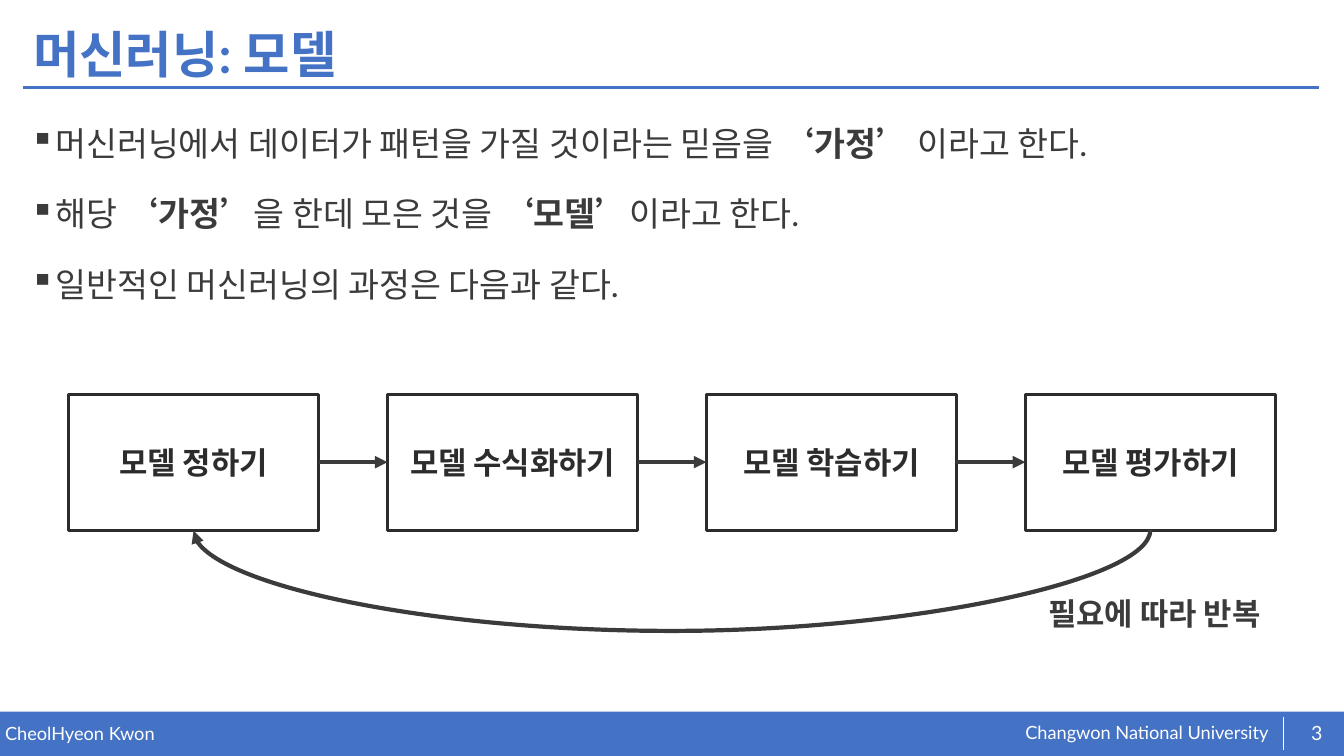
from lxml import etree
from pptx import Presentation
from pptx.dml.color import RGBColor
from pptx.enum.shapes import MSO_CONNECTOR, MSO_SHAPE
from pptx.enum.text import MSO_ANCHOR, PP_ALIGN
from pptx.oxml.ns import qn
from pptx.util import Inches, Pt

STRAIGHT, CURVE = MSO_CONNECTOR.STRAIGHT, MSO_CONNECTOR.CURVE
RECTANGLE = MSO_SHAPE.RECTANGLE
TOP, MIDDLE = MSO_ANCHOR.TOP, MSO_ANCHOR.MIDDLE
LEFT, CENTER = PP_ALIGN.LEFT, PP_ALIGN.CENTER

BLUE = RGBColor(0x44, 0x72, 0xC4)
WHITE = RGBColor(0xFF, 0xFF, 0xFF)
DARK = RGBColor(0x3B, 0x3B, 0x3B)
BLACK = RGBColor(0x2C, 0x2C, 0x2C)
FONT = "Lato"
RIGHT_SIDE, LEFT_SIDE = 3, 1


class SlideBuilder:
    def __init__(self, slide):
        self.slide = slide
        self.shapes = slide.shapes

    def add_run(self, paragraph, text, size, color, bold=False):
        run = paragraph.add_run()
        run.text = text
        run.font.name = FONT
        run.font.size = Pt(size)
        run.font.bold = bold
        run.font.color.rgb = color

    def text(self, box, text, size, color, bold=False, anchor=TOP, align=LEFT,
             inset=True, line_spacing=None):
        shape = self.shapes.add_textbox(*map(Inches, box))
        frame = shape.text_frame
        frame.word_wrap = True
        frame.vertical_anchor = anchor
        if not inset:
            frame.margin_left = frame.margin_right = 0
            frame.margin_top = frame.margin_bottom = 0
        paragraph = frame.paragraphs[0]
        paragraph.alignment = align
        if line_spacing:
            paragraph.line_spacing = line_spacing
        self.add_run(paragraph, text, size, color, bold)

    def bullets(self, box, items, size, color):
        """Each item is a list of (text, bold) runs."""
        frame = self.shapes.add_textbox(*map(Inches, box)).text_frame
        frame.word_wrap = True
        for index, runs in enumerate(items):
            paragraph = frame.add_paragraph() if index else frame.paragraphs[0]
            paragraph.line_spacing = 1.4
            if index:
                paragraph.space_before = Pt(10)
            properties = paragraph._p.get_or_add_pPr()
            properties.set("marL", str(Inches(0.25)))
            properties.set("indent", str(-Inches(0.25)))
            etree.SubElement(properties, qn("a:buChar")).set("char", "▪")
            for text, bold in runs:
                self.add_run(paragraph, text, size, color, bold)

    def rectangle(self, box, fill=None, line=None, text=None):
        shape = self.shapes.add_shape(RECTANGLE, *map(Inches, box))
        shape.shadow.inherit = False
        if fill:
            shape.fill.solid()
            shape.fill.fore_color.rgb = fill
        else:
            shape.fill.background()
        if line:
            shape.line.color.rgb = line
            shape.line.width = Pt(2)
        else:
            shape.line.fill.background()
        if text:
            shape.text_frame.vertical_anchor = MIDDLE
            paragraph = shape.text_frame.paragraphs[0]
            paragraph.alignment = CENTER
            self.add_run(paragraph, text, 22, BLACK, True)
        return shape

    def line(self, points, color, width, kind=STRAIGHT, arrow=False):
        connector = self.shapes.add_connector(kind, *map(Inches, points))
        connector.line.color.rgb = color
        connector.line.width = Pt(width)
        if arrow:
            tail = etree.SubElement(connector.line._get_or_add_ln(), qn("a:tailEnd"))
            tail.set("type", "triangle")
        etree.SubElement(connector._element.spPr, qn("a:effectLst"))
        return connector

    def loop_arrow(self, right, left, y, depth, color, width):
        """Curve from right to left that sags below y: a thin connector turned by 90°."""
        thickness = 0.01
        middle, half = (left + right) / 2, (right - left) / 2
        points = (middle - thickness / 2, y - half, middle + thickness / 2, y + half)
        connector = self.line(points, color, width, CURVE, arrow=True)
        properties = connector._element.spPr
        properties.find(qn("a:xfrm")).set("rot", "5400000")
        adjustments = properties.find(qn("a:prstGeom")).find(qn("a:avLst"))
        guide = etree.SubElement(adjustments, qn("a:gd"))
        guide.set("name", "adj1")
        guide.set("fmla", f"val {round(depth / thickness * 100000)}")


def main():
    presentation = Presentation()
    presentation.slide_width = Inches(13.33)
    presentation.slide_height = Inches(7.5)
    builder = SlideBuilder(presentation.slides.add_slide(presentation.slide_layouts[6]))

    # Footer
    builder.rectangle((0, 7.06, 13.33, 0.44), fill=BLUE)
    builder.text((10.17, 7.16, 2.67, 0.23), "Changwon National University", 13, WHITE,
                 inset=False)
    builder.text((0.05, 7.17, 6.55, 0.3), "CheolHyeon Kwon", 13, WHITE, inset=False)
    builder.line((12.73, 7.11, 12.73, 7.44), WHITE, 0.5)
    builder.text((12.82, 7.07, 0.48, 0.4), "3", 14, WHITE, anchor=MIDDLE, align=CENTER,
                 inset=False)

    # Title
    builder.line((0.23, 0.87, 13.08, 0.87), BLUE, 2)
    builder.text((0.23, 0.18, 12.86, 0.77), "머신러닝: 모델", 36, BLUE, True,
                 anchor=MIDDLE, line_spacing=0.9)

    # Bullets
    builder.bullets((0.2, 1.01, 12.86, 5.63), [
        [("머신러닝에서 데이터가 패턴을 가질 것이라는 믿음을 ", False),
         ("‘가정’ ", True), ("이라고 한다.", False)],
        [("해당 ", False), ("‘가정’", True), ("을 한데 모은 것을 ", False),
         ("‘모델’", True), ("이라고 한다.", False)],
        [("일반적인 머신러닝의 과정은 다음과 같다.", False)],
    ], 24, DARK)

    # Process steps
    steps = ["모델 정하기", "모델 수식화하기", "모델 학습하기", "모델 평가하기"]
    first_left, last_left, top, width, height = 0.68, 10.17, 3.91, 2.48, 1.35
    pitch = (last_left - first_left) / (len(steps) - 1)
    boxes = [builder.rectangle((first_left + index * pitch, top, width, height),
                               line=BLACK, text=step)
             for index, step in enumerate(steps)]
    for source, target in zip(boxes, boxes[1:]):
        arrow = builder.line((0, 0, 0, 0), DARK, 3, arrow=True)
        arrow.begin_connect(source, RIGHT_SIDE)
        arrow.end_connect(target, LEFT_SIDE)

    # Loop back to the first step
    builder.loop_arrow(last_left + width / 2, first_left + width / 2, top + height, 1.02,
                       DARK, 3)
    builder.text((10.3, 5.85, 2.78, 0.47), "필요에 따라 반복", 22, DARK, True)

    presentation.save("out.pptx")


if __name__ == "__main__":
    main()
